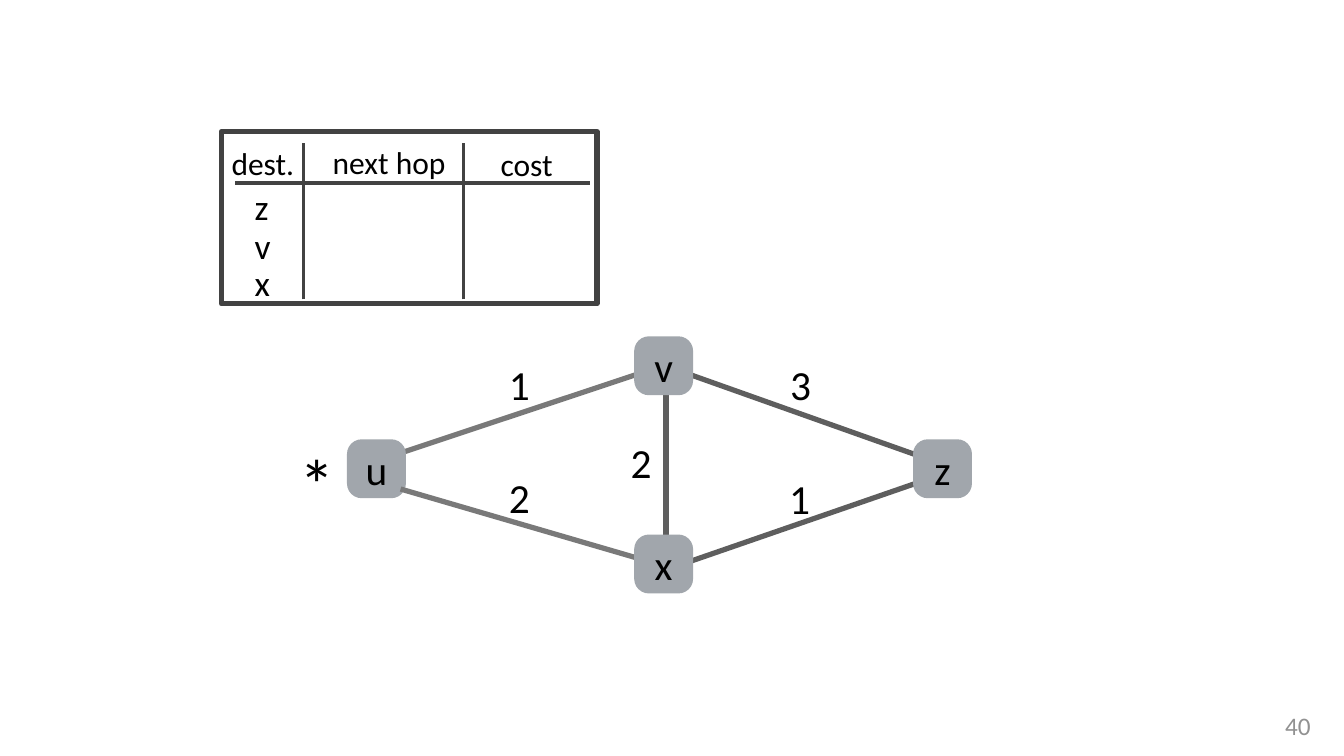
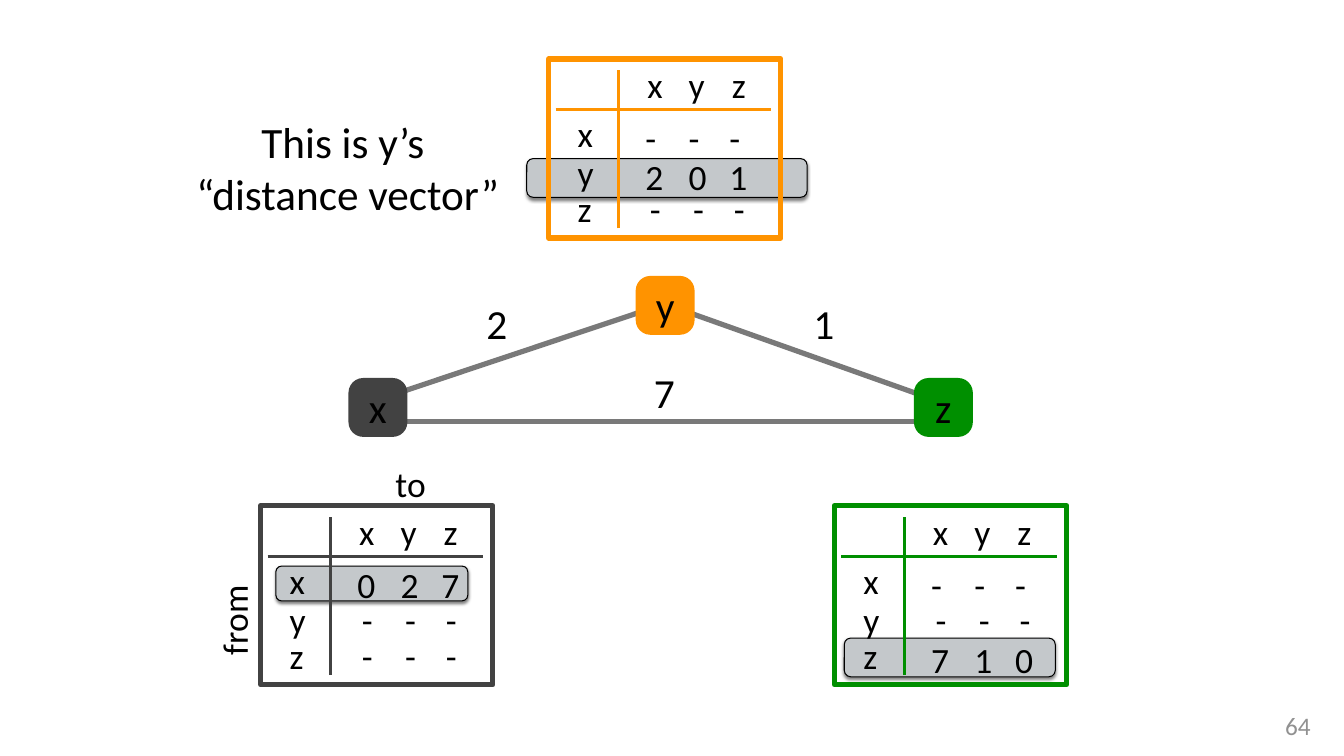
from dataclasses import dataclass

from lxml.etree import SubElement
from pptx import Presentation
from pptx.dml.color import RGBColor
from pptx.enum.shapes import MSO_CONNECTOR, MSO_SHAPE
from pptx.enum.text import MSO_ANCHOR, PP_ALIGN
from pptx.oxml.ns import qn
from pptx.util import Cm, Pt


@dataclass(frozen=True)
class Theme:
    font: str = "Calibri"
    # Colours
    text: str = "000000"
    page_number: str = "919191"
    node: str = "A1A6AC"
    link: str = "797979"
    dark_link: str = "5E5E5E"
    highlight: str = "C4C8CB"
    gray: str = "424242"
    orange: str = "FF9300"
    green: str = "008F00"
    # Type sizes and line widths in points
    caption: float = 41.2
    label: float = 39.4
    cell: float = 33.8
    header: float = 30
    number: float = 24
    star: float = 67.5
    thick: float = 5
    thin: float = 3
    hairline: float = 1


def write(s, text, size, font, color, align=PP_ALIGN.LEFT,
          anchor=MSO_ANCHOR.MIDDLE, inset=0.13, wrap=True):
    """Fill a shape with one formatted paragraph; newlines become line breaks."""
    tf = s.text_frame
    tf.word_wrap = wrap
    tf.vertical_anchor = anchor
    tf.margin_left = tf.margin_right = Cm(inset)
    tf.margin_top = tf.margin_bottom = Cm(inset)
    p = tf.paragraphs[0]
    p.alignment = align
    for i, line in enumerate(text.split("\n")):
        if i:
            p.add_line_break()
        r = p.add_run()
        r.text = line
        r.font.name = font
        r.font.size = Pt(size)
        r.font.color.rgb = RGBColor.from_string(color)


class Deck:
    """Holds the theme and the current slide. All positions are in cm."""

    NODE = 1.98
    # Offsets inside a distance table
    COLUMNS = (3.18, 4.57, 6.02)
    VALUES = (3.12, 4.57, 5.94)
    ROWS = (1.65, 2.95, 4.17)

    def __init__(self, theme):
        self.t = theme
        self.prs = Presentation()
        self.prs.slide_width, self.prs.slide_height = Cm(45.16), Cm(25.4)

    def new_slide(self, number):
        self.slide = self.prs.slides.add_slide(self.prs.slide_layouts[6])
        self.text(str(number), 43.03, 23.85, 1.17, 1.27, self.t.number,
                  color=self.t.page_number, align=PP_ALIGN.CENTER,
                  anchor=MSO_ANCHOR.TOP, inset=0, wrap=False)

    def text(self, text, x, y, w, h, size, rotation=0, color=None, **fmt):
        s = self.slide.shapes.add_textbox(Cm(x), Cm(y), Cm(w), Cm(h))
        s.rotation = rotation
        write(s, text, size, self.t.font, color or self.t.text, **fmt)

    def shape(self, kind, x, y, w, h, fill=None, line=None, width=0):
        s = self.slide.shapes.add_shape(kind, Cm(x), Cm(y), Cm(w), Cm(h))
        s.shadow.inherit = False
        if fill:
            s.fill.solid()
            s.fill.fore_color.rgb = RGBColor.from_string(fill)
        else:
            s.fill.background()
        if line:
            s.line.color.rgb = RGBColor.from_string(line)
            s.line.width = Pt(width)
        else:
            s.line.fill.background()
        return s

    def line(self, x1, y1, x2, y2, color, width):
        c = self.slide.shapes.add_connector(
            MSO_CONNECTOR.STRAIGHT, Cm(x1), Cm(y1), Cm(x2), Cm(y2))
        c.line.color.rgb = RGBColor.from_string(color)
        c.line.width = Pt(width)
        SubElement(c._element.spPr, qn("a:effectLst"))

    def link(self, x1, y1, x2, y2, color=None):
        self.line(x1, y1, x2, y2, color or self.t.link, self.t.thick)

    def node(self, name, x, y, fill=None):
        s = self.shape(MSO_SHAPE.ROUNDED_RECTANGLE, x, y, self.NODE, self.NODE,
                       fill or self.t.node)
        s.adjustments[0] = 0.25
        write(s, name, self.t.label, self.t.font, self.t.text,
              align=PP_ALIGN.CENTER, inset=0)

    def cost(self, value, x, y):
        self.text(value, x, y, 0.99, 1.96, self.t.label)

    def cell(self, text, x, y, w=0.99, h=1.73):
        self.text(text, x, y, w, h, self.t.cell)

    def frame(self, x, y, w, h, color):
        self.shape(MSO_SHAPE.RECTANGLE, x, y, w, h, line=color, width=self.t.thick)

    def highlight(self, x, y, w, h):
        s = self.shape(MSO_SHAPE.ROUNDED_RECTANGLE, x, y, w, h,
                       self.t.highlight, self.t.text, self.t.hairline)
        effects = s._element.spPr.find(qn("a:effectLst"))
        shadow = SubElement(effects, qn("a:outerShdw"), blurRad=str(Pt(3)),
                            dist=str(Pt(2)), dir="5400000", rotWithShape="0")
        color = SubElement(shadow, qn("a:srgbClr"), val=self.t.text)
        SubElement(color, qn("a:alpha"), val="50000")

    def distance_table(self, x, y, color, rows):
        self.frame(x, y, 7.8, 6.02, color)
        self.line(x + 0.23, y + 1.7, x + 7.47, y + 1.7, color, self.t.thin)
        self.line(x + 2.34, y + 5.69, x + 2.34, y + 0.38, color, self.t.thin)
        for name, dx in zip("xyz", self.COLUMNS):
            self.cell(name, x + dx, y + 0.08, h=1.55)
        for i, (name, dy, values) in enumerate(zip("xyz", self.ROWS, rows)):
            self.cell(name, x + 0.84, y + dy, w=0.89)
            # Dashes below the first row sit a little right and higher
            shift, drop = (0.15, 0) if i and values == "---" else (0, 0.13)
            for value, dx in zip(values, self.VALUES):
                self.cell(value, x + dx + shift, y + dy + drop)


def routing_slide(d):
    t = d.t
    d.new_slide(40)

    # Network: the u-x link runs over node u, the others run under the nodes
    d.link(21.72, 12.47, 13.16, 15.32)
    for ends in ((22.38, 12.9, 22.38, 18.57), (22.86, 12.47, 31.45, 15.52),
                 (22.5, 19.1, 31.32, 16.05)):
        d.link(*ends, t.dark_link)
    d.node("u", 11.66, 14.76)
    d.link(13.46, 16.43, 22.1, 18.95)
    for name, x, y in (("v", 21.31, 11.3), ("z", 30.68, 14.76), ("x", 21.31, 17.96)):
        d.node(name, x, y)
    for value, x, y in (("1", 16.97, 11.91), ("2", 16.97, 15.72), ("3", 26.42, 11.91),
                        ("2", 21.06, 14.55), ("1", 26.39, 15.75)):
        d.cost(value, x, y)
    d.text("*", 9.93, 14.61, 1.3, 3.15, t.star)

    # Forwarding table still to be filled in
    d.frame(7.44, 4.42, 12.62, 5.79, t.gray)
    for head, x, y, w in (("dest.", 7.65, 4.7, 5.28), ("next hop", 11.05, 4.67, 4.17),
                          ("cost", 16.69, 4.72, 2.44)):
        d.text(head, x, y, w, 1.55, t.header)
    d.line(7.9, 6.15, 19.84, 6.15, t.gray, t.thin)
    for x in (10.19, 15.57):
        d.line(x, 10.06, x, 4.8, t.gray, t.thin)
    for name, y in (("z", 6.07), ("v", 7.37), ("x", 8.61)):
        d.cell(name, 8.43, y, w=0.89)


def distance_vector_slide(d):
    t = d.t
    d.new_slide(64)

    # Network
    for ends in ((21.74, 10.41, 13.21, 13.26), (13.46, 14.15, 31.47, 14.15),
                 (22.89, 10.41, 31.47, 13.46)):
        d.link(*ends)
    for name, x, y, fill in (("x", 11.71, 12.7, t.gray), ("z", 30.71, 12.7, t.green),
                             ("y", 21.36, 9.27, t.orange)):
        d.node(name, x, y, fill)
    for value, x, y in (("7", 21.84, 12.19), ("2", 16.21, 9.86), ("1", 27.2, 9.86)):
        d.cost(value, x, y)

    # Each node's table, with its own distance vector highlighted
    tables = (
        ((9.27, 19.02, 6.45, 1.17), (8.76, 16.99), t.gray, ("027", "---", "---")),
        ((17.7, 5.33, 9.42, 1.3), (18.44, 1.98), t.orange, ("---", "201", "---")),
        ((28.37, 21.44, 7.09, 1.3), (28.04, 16.99), t.green, ("---", "---", "710")),
    )
    for band, corner, color, rows in tables:
        d.highlight(*band)
        d.distance_table(*corner, color, rows)

    # Captions
    d.cell("from", 6.48, 19.91, w=2.74)
    d.slide.shapes[-1].rotation = 270
    d.cell("to", 13.16, 15.39, w=1.73)
    d.text("This is y’s \n“distance vector”", 5.13, 3.73, 13.11, 3.78, t.caption,
           align=PP_ALIGN.CENTER)


def main():
    d = Deck(Theme())
    routing_slide(d)
    distance_vector_slide(d)
    d.prs.save("out.pptx")


if __name__ == "__main__":
    main()
